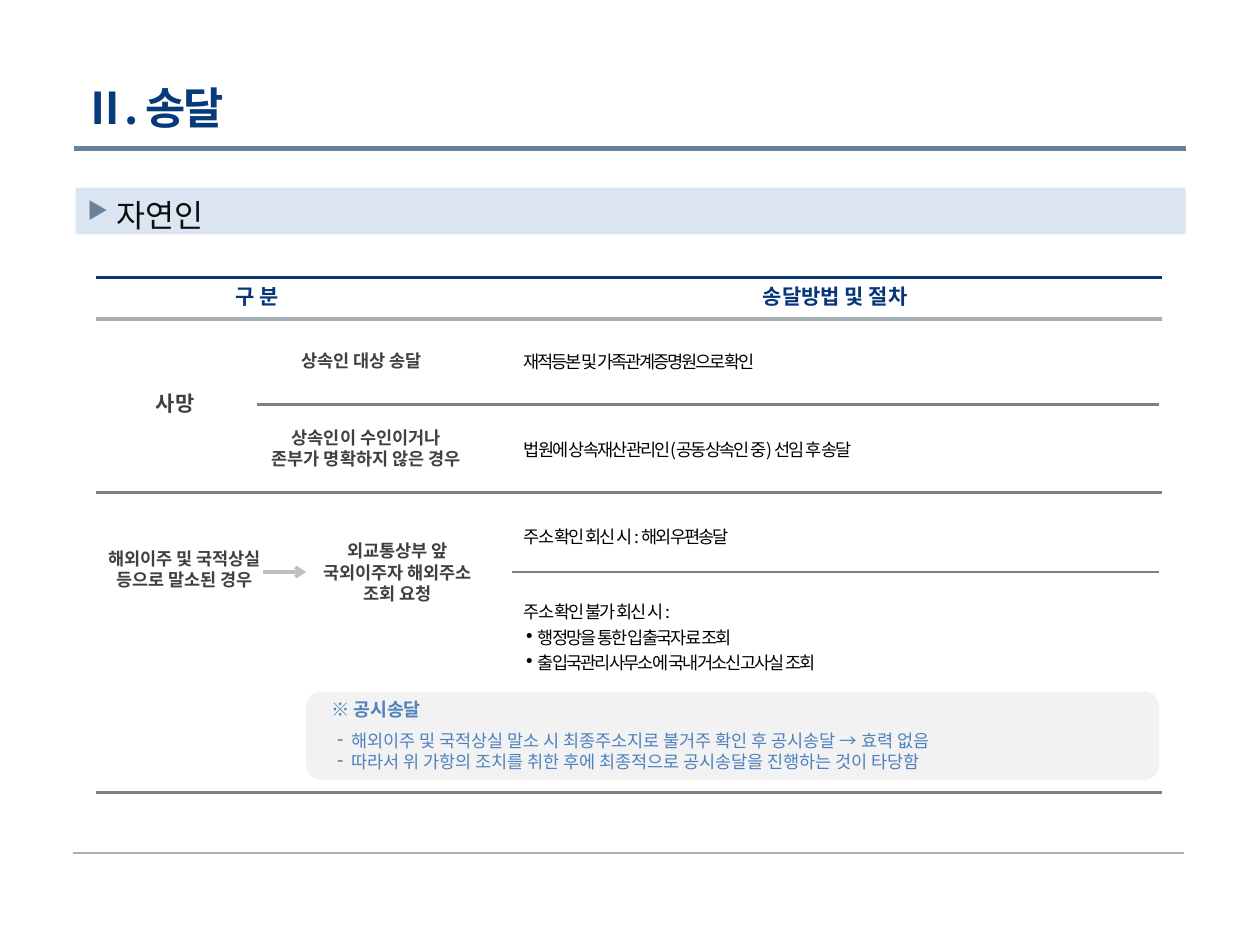
"""Build the slide on serving documents to natural persons."""
from dataclasses import dataclass
from typing import Any

from lxml import etree
from pptx import Presentation
from pptx import util as u
from pptx.dml.color import RGBColor
from pptx.enum import shapes, text
from pptx.oxml import ns

FONT = "Noto Sans CJK KR"
TITLE_BLUE = RGBColor(0x06, 0x3A, 0x7A)
NAVY = RGBColor(0x06, 0x35, 0x79)
SLATE = RGBColor(0x69, 0x82, 0x99)
SILVER = RGBColor(0xA6, 0xAF, 0xB4)
FOOT_GRAY = RGBColor(0xAE, 0xAD, 0xB0)
RULE_GRAY = RGBColor(0x80, 0x80, 0x80)
ARROW_GRAY = RGBColor(0xBF, 0xBF, 0xBF)
DARK = RGBColor(0x40, 0x40, 0x40)
INK = RGBColor(0x0D, 0x0D, 0x0D)
BLACK = RGBColor(0, 0, 0)
NOTE_BLUE = RGBColor(0x4F, 0x81, 0xBD)
PALE_BLUE = RGBColor(0xDC, 0xE6, 0xF2)
PALE_GRAY = RGBColor(0xF2, 0xF2, 0xF2)
LEFT, CENTER = text.PP_ALIGN.LEFT, text.PP_ALIGN.CENTER


@dataclass(frozen=True)
class Style:
    size: float
    color: RGBColor
    bold: bool = False
    align: Any = LEFT
    spacing: Any = None
    tracking: float = 0
    bullet: str = ""
    margin: float = 0


@dataclass(frozen=True)
class Label:
    left: float
    top: float
    width: float
    height: float
    style: Style
    lines: tuple[str, ...]


@dataclass(frozen=True)
class Rule:
    left: float
    right: float
    y: float
    color: RGBColor
    weight: float
    arrow: bool = False


@dataclass(frozen=True)
class Panel:
    kind: Any
    left: float
    top: float
    width: float
    height: float
    color: RGBColor


TITLE = Style(25, TITLE_BLUE, True, tracking=-1.5)
SECTION = Style(18, INK, spacing=u.Pt(24))
MARKER = Style(12, SLATE, True, tracking=-2)
HEADER = Style(12, NAVY, True, CENTER)
GROUP = Style(12, DARK, True, CENTER)
CASE = Style(10, DARK, True, CENTER)
METHOD = Style(10, BLACK, spacing=1.2, tracking=-1)
TIGHT_METHOD = Style(10, BLACK, spacing=1.2, tracking=-1.2)
METHOD_ITEM = Style(10, BLACK, spacing=1.2, tracking=-1, bullet="∙", margin=0.11)
NOTE_HEAD = Style(10.5, NOTE_BLUE, True, margin=0.1)
NOTE_FIRST = Style(10, NOTE_BLUE, spacing=1.5, bullet="-", margin=0.26)
NOTE_ITEM = Style(10, NOTE_BLUE, bullet="-", margin=0.26)
HANG = 0.11

PANELS = (
    Panel(shapes.MSO_SHAPE.ROUNDED_RECTANGLE, 2.43, 5.49, 6.77, 0.7, PALE_GRAY),
    Panel(shapes.MSO_SHAPE.RECTANGLE, 0.6, 1.49, 8.81, 0.37, PALE_BLUE),
)
RULES = (
    Rule(0.59, 9.41, 1.18, SLATE, 3),
    Rule(0.58, 9.4, 6.77, FOOT_GRAY, 1),
    Rule(0.76, 9.22, 2.2, NAVY, 1.5),
    Rule(0.76, 9.22, 2.53, SILVER, 2.5),
    Rule(2.04, 9.2, 3.21, RULE_GRAY, 1.5),
    Rule(0.76, 9.22, 3.91, RULE_GRAY, 1.5),
    Rule(4.06, 9.2, 4.54, RULE_GRAY, 1.5),
    Rule(0.76, 9.22, 6.29, RULE_GRAY, 1.5),
    Rule(2.09, 2.43, 4.54, ARROW_GRAY, 2, True),
)
LABELS = (
    Label(0.83, 1.47, 8.58, 0.41, SECTION, ("자연인",)),
    Label(0.6, 1.52, 0.46, 0.3, MARKER, ("▶",)),
    Label(1.41, 2.2, 1.26, 0.3, HEADER, ("구 분",)),
    Label(5.73, 2.2, 1.8, 0.3, HEADER, ("송달방법 및 절차",)),
    Label(0.76, 3.05, 1.26, 0.3, GROUP, ("사망",)),
    Label(1.92, 2.73, 1.9, 0.27, CASE, ("상속인 대상 송달",)),
    Label(1.92, 3.34, 1.97, 0.44, CASE, ("상속인이 수인이거나", "존부가 명확하지 않은 경우")),
    Label(0.67, 4.3, 1.59, 0.44, CASE, ("해외이주 및 국적상실 등으로 말소된 경우",)),
    Label(2.4, 4.24, 1.51, 0.61, CASE, ("외교통상부 앞", "국외이주자 해외주소", "조회 요청")),
    Label(4.06, 2.7, 5.17, 0.3, TIGHT_METHOD, ("재적등본 및 가족관계증명원으로 확인",)),
    Label(4.06, 3.4, 5.17, 0.3, METHOD, ("법원에 상속재산관리인(공동상속인 중) 선임 후 송달",)),
    Label(4.06, 4.09, 5.15, 0.3, METHOD, ("주소 확인 회신 시 : 해외우편송달",)),
)
UNKNOWN_ADDRESS = (
    ("주소 확인 불가 회신 시 :", METHOD),
    ("행정망을 통한 입출국자료 조회", METHOD_ITEM),
    ("출입국관리사무소에 국내거소신고사실 조회", METHOD_ITEM),
)
PUBLIC_NOTICE = (
    ("※ 공시송달", NOTE_HEAD),
    ("해외이주 및 국적상실 말소 시 최종주소지로 불거주 확인 후 공시송달 → 효력 없음", NOTE_FIRST),
    ("따라서 위 가항의 조치를 취한 후에 최종적으로 공시송달을 진행하는 것이 타당함", NOTE_ITEM),
)


def write_line(para: Any, words: str, style: Style) -> None:
    """Put one styled line into a paragraph."""
    para.alignment = style.align
    para.line_spacing = style.spacing
    if style.margin:
        props = para._p.get_or_add_pPr()
        props.set("marL", str(u.Inches(style.margin)))
        if style.bullet:
            props.set("indent", str(-u.Inches(HANG)))
            etree.SubElement(props, ns.qn("a:buChar")).set("char", style.bullet)
    span = para.add_run()
    span.text = words
    span.font.color.rgb = style.color
    formats = {"size": u.Pt(style.size), "bold": style.bold, "name": FONT}
    for name, value in formats.items():
        setattr(span.font, name, value)
    props = span._r.get_or_add_rPr()
    etree.SubElement(props, ns.qn("a:ea")).set("typeface", FONT)
    if style.tracking:
        props.set("spc", str(round(style.tracking * 100)))


def place(box: Any, left: float, top: float, width: float, height: float) -> None:
    """Move and size a shape in inches."""
    for name, value in {"left": left, "top": top, "width": width, "height": height}.items():
        setattr(box, name, u.Inches(value))


def write_box(page: Any, bounds: tuple, lines: Any) -> None:
    """Add a wrapping text box of (words, style) lines."""
    frame = page.shapes.add_textbox(*map(u.Inches, bounds)).text_frame
    frame.word_wrap = True
    for index, (words, style) in enumerate(lines):
        para = frame.add_paragraph() if index else frame.paragraphs[0]
        write_line(para, words, style)


def draw_panel(page: Any, panel: Panel) -> None:
    """Add a plain filled shape."""
    bounds = (panel.left, panel.top, panel.width, panel.height)
    shape = page.shapes.add_shape(panel.kind, *map(u.Inches, bounds))
    shape.shadow.inherit = False
    shape.fill.solid()
    shape.fill.fore_color.rgb = panel.color
    shape.line.fill.background()


def draw_rule(page: Any, rule: Rule) -> None:
    """Add a horizontal line, with an arrowhead if asked."""
    ends = map(u.Inches, (rule.left, rule.y, rule.right, rule.y))
    line = page.shapes.add_connector(shapes.MSO_CONNECTOR.STRAIGHT, *ends)
    line.line.color.rgb = rule.color
    line.line.width = u.Pt(rule.weight)
    if rule.arrow:
        stroke = line.line._get_or_add_ln()
        etree.SubElement(stroke, ns.qn("a:tailEnd")).set("type", "arrow")
    etree.SubElement(line._element.spPr, ns.qn("a:effectLst"))


def write_title(page: Any) -> None:
    """Format and fill the title placeholder on one line above its rule."""
    title = page.shapes.title
    place(title, 0.56, 0.59, 3, 0.52)
    formats = {
        "word_wrap": True,
        "auto_size": text.MSO_AUTO_SIZE.NONE,
        "vertical_anchor": text.MSO_ANCHOR.MIDDLE,
    }
    for name, value in formats.items():
        setattr(title.text_frame, name, value)
    write_line(title.text_frame.paragraphs[0], "Ⅱ. 송달", TITLE)


def main() -> None:
    """Assemble and save the deck."""
    deck = Presentation()
    deck.slide_width, deck.slide_height = u.Inches(10), u.Inches(7.5)
    page = deck.slides.add_slide(deck.slide_layouts.get_by_name("Title Only"))
    write_title(page)
    for panel in PANELS:
        draw_panel(page, panel)
    for rule in RULES:
        draw_rule(page, rule)
    for label in LABELS:
        bounds = (label.left, label.top, label.width, label.height)
        write_box(page, bounds, [(words, label.style) for words in label.lines])
    write_box(page, (4.06, 4.69, 5.15, 0.71), UNKNOWN_ADDRESS)
    write_box(page, (2.43, 5.49, 6.19, 0.7), PUBLIC_NOTICE)
    deck.save("out.pptx")


if __name__ == "__main__":
    main()
